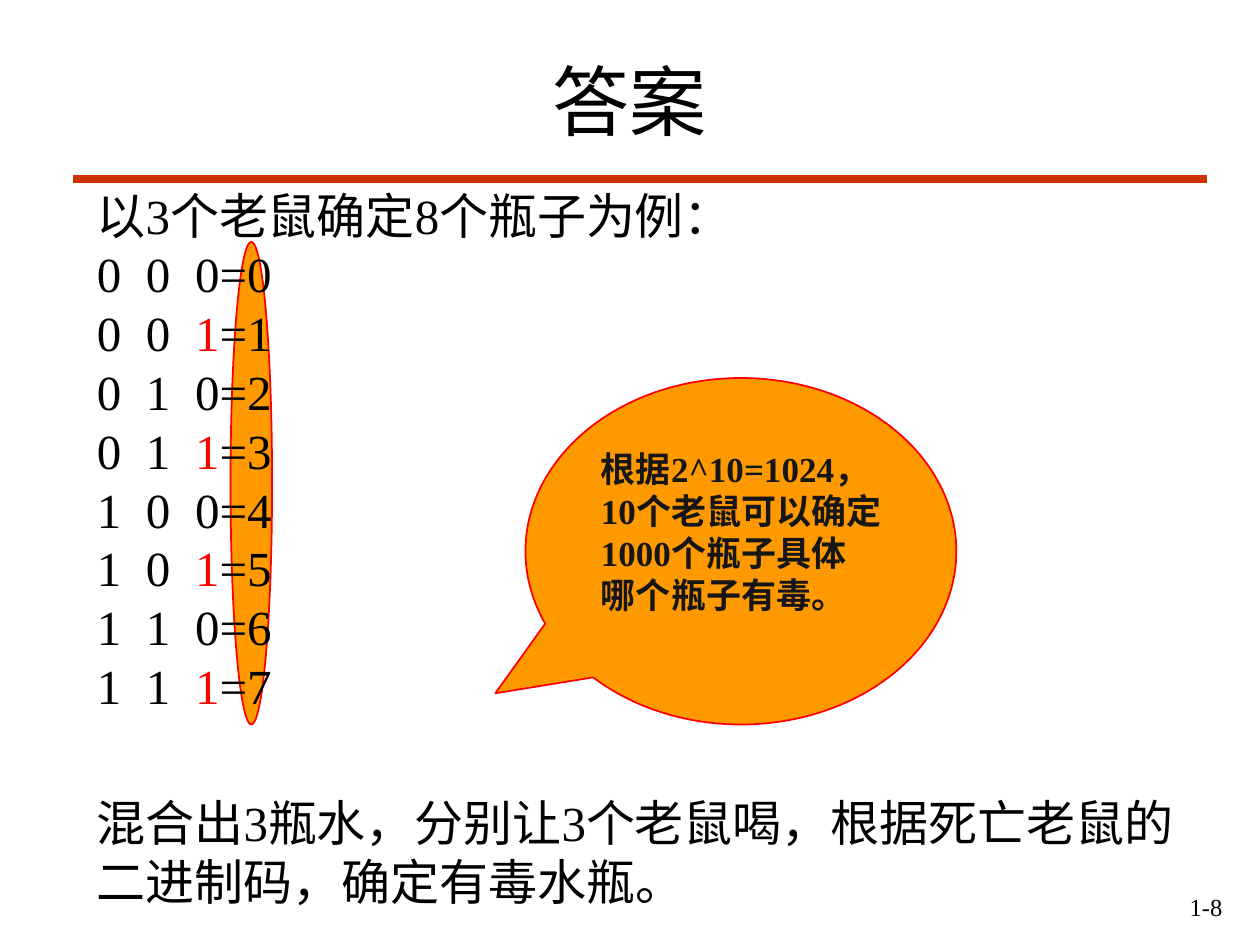
from dataclasses import dataclass

from lxml.etree import SubElement
from pptx import Presentation
from pptx.dml.color import RGBColor
from pptx.enum.shapes import MSO_CONNECTOR, MSO_SHAPE
from pptx.enum.text import MSO_ANCHOR, PP_ALIGN
from pptx.oxml.ns import qn
from pptx.util import Inches, Pt


@dataclass(frozen=True)
class Theme:
    font: str = "Times New Roman"
    ink: str = "000000"
    callout_ink: str = "161616"
    accent: str = "FF0000"
    fill: str = "FF9900"
    rule: str = "CC3300"
    title: int = 44
    body: int = 28
    callout: int = 20
    number: int = 14
    leading: float = 33.6


THEME = Theme()


def add_text(p, text, size=THEME.body, color=THEME.ink, bold=False):
    r = p.add_run()
    r.text = text
    r.font.name = THEME.font
    r.font.size = Pt(size)
    r.font.bold = bold
    r.font.color.rgb = RGBColor.from_string(color)


def add_tabs(p, *stops):
    tabs = SubElement(p._p.get_or_add_pPr(), qn("a:tabLst"))
    for stop in stops:
        SubElement(tabs, qn("a:tab"), pos=str(Inches(stop)), algn="l")


class SlideBuilder:
    def __init__(self, prs, theme):
        self.theme = theme
        self.s = prs.slides.add_slide(prs.slide_layouts[5])

    def title(self, text, x, y, w, h):
        sp = self.s.shapes.title
        sp.left, sp.top, sp.width, sp.height = map(Inches, (x, y, w, h))
        tf = sp.text_frame
        tf.vertical_anchor = MSO_ANCHOR.MIDDLE
        p = tf.paragraphs[0]
        p.alignment = PP_ALIGN.CENTER
        add_text(p, text, size=self.theme.title)

    def rule(self, x1, x2, y):
        line = self.s.shapes.add_connector(
            MSO_CONNECTOR.STRAIGHT, Inches(x1), Inches(y), Inches(x2), Inches(y))
        line.line.color.rgb = RGBColor.from_string(self.theme.rule)
        line.line.width = Pt(4.5)
        SubElement(line._element.spPr, qn("a:effectLst"))

    def shape(self, kind, x, y, w, h):
        sp = self.s.shapes.add_shape(kind, *map(Inches, (x, y, w, h)))
        sp.shadow.inherit = False
        sp.fill.solid()
        sp.fill.fore_color.rgb = RGBColor.from_string(self.theme.fill)
        sp.line.color.rgb = RGBColor.from_string(self.theme.accent)
        sp.line.width = Pt(1)
        return sp

    def callout(self, lines, x, y, w, h, tip):
        sp = self.shape(MSO_SHAPE.OVAL_CALLOUT, x, y, w, h)
        sp.adjustments[0], sp.adjustments[1] = tip
        tf = sp.text_frame
        tf.word_wrap = False
        tf.vertical_anchor = MSO_ANCHOR.MIDDLE
        tf.margin_bottom = Inches(0.37)
        for i, line in enumerate(lines):
            p = tf.add_paragraph() if i else tf.paragraphs[0]
            p.alignment = PP_ALIGN.LEFT
            add_text(p, line, size=self.theme.callout,
                     color=self.theme.callout_ink, bold=True)

    def text_box(self, x, y, w, h):
        tf = self.s.shapes.add_textbox(*map(Inches, (x, y, w, h))).text_frame
        tf.word_wrap = True
        return tf

    def body(self, intro, bits, outro, x, y, w, h):
        tf = self.text_box(x, y, w, h)
        p = tf.paragraphs[0]
        add_tabs(p, 0.39, 0.78)
        add_text(p, intro)
        for n in range(2 ** bits):
            *high, low = f"{n:0{bits}b}"
            p.add_line_break()
            add_text(p, "\t".join(high) + "\t")
            add_text(p, low, color=self.theme.accent if low == "1" else self.theme.ink)
            add_text(p, f"={n}")
        end = tf.add_paragraph()
        end.space_before = Pt(self.theme.leading + 11.2)
        add_text(end, outro)
        for p in tf.paragraphs:
            p.line_spacing = Pt(self.theme.leading)

    def number(self, text, x, y, w, h):
        p = self.text_box(x, y, w, h).paragraphs[0]
        p.alignment = PP_ALIGN.RIGHT
        add_text(p, text, size=self.theme.number)


def main():
    prs = Presentation()
    prs.slide_width, prs.slide_height = Inches(10), Inches(7.5)
    slide = SlideBuilder(prs, THEME)
    slide.rule(0.58, 9.58, 1.42)
    slide.shape(MSO_SHAPE.OVAL, 1.83, 1.92, 0.33, 3.83)
    slide.title("答案", 0.75, 0.17, 8.5, 1.25)
    slide.body("以3个老鼠确定8个瓶子为例：", 3,
               "混合出3瓶水，分别让3个老鼠喝，根据死亡老鼠的二进制码，确定有毒水瓶。",
               0.67, 1.42, 9, 6.08)
    slide.number("1-8", 7.72, 7.03, 2.08, 0.33)
    slide.callout(["根据2^10=1024，", "10个老鼠可以确定", "1000个瓶子具体", "哪个瓶子有毒。"],
                  4.17, 3, 3.42, 2.75, tip=(-0.57, 0.41))
    prs.save("out.pptx")


if __name__ == "__main__":
    main()
